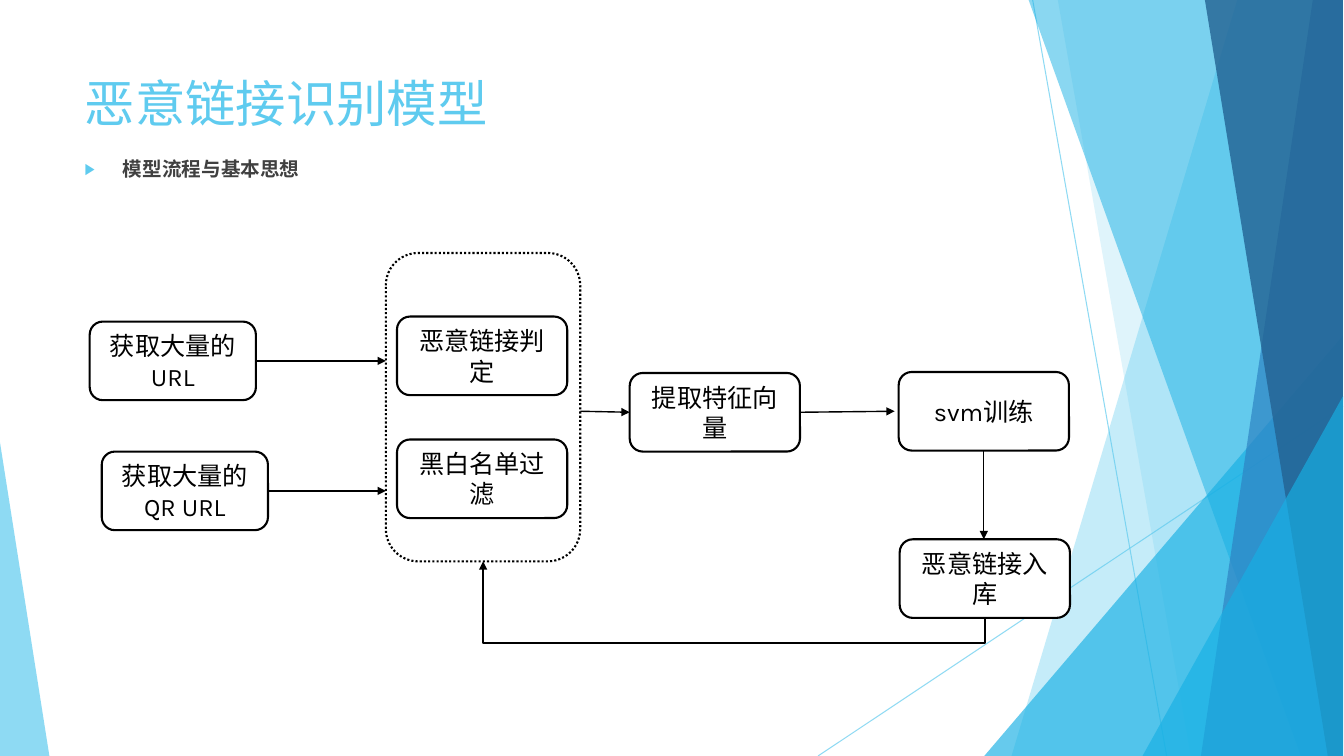
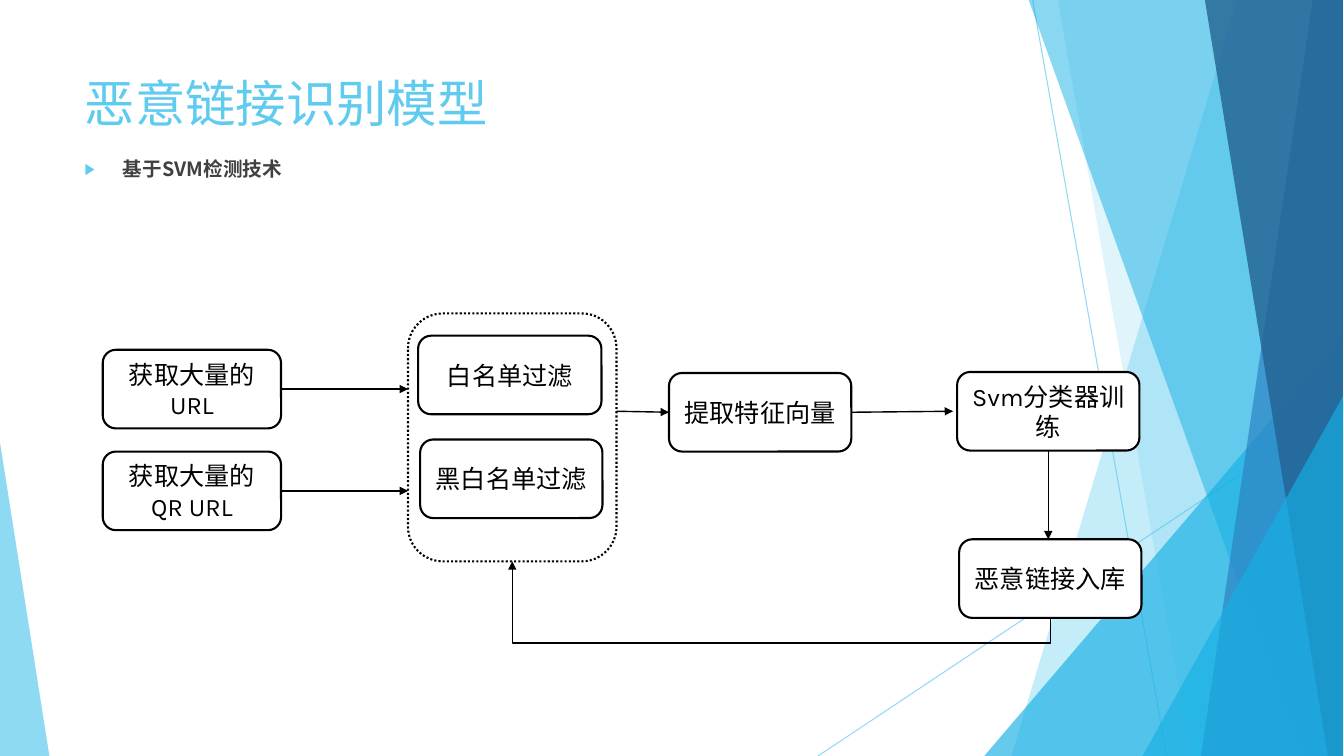
from lxml import etree
from pptx import Presentation
from pptx import util as u
from pptx.dml.color import RGBColor
from pptx.enum import dml, shapes, text
from pptx.oxml.ns import qn

WIDE, HIGH = 13.34, 7.5
EDGE = 13.33
NODE_H = 0.78
MID = 4.08
DROP = 0.25
HEX = {"sky": "5FCBEF", "cyan": "17B0E4", "blue": "2E83C3", "navy": "236292",
       "ink": "000000", "gray": "404040", "white": "FFFFFF"}
CJK, LATIN = "Noto Sans CJK SC", "Karla"

HEAD = "恶意链接识别模型"
FRAMES = [(0.74, 0.67, 9.4, 1.44), (0.74, 1.45, 9.4, 5.64)]
STYLES = {
    "head": {"name": CJK, "size": u.Pt(36), "bold": False, "hue": "sky"},
    "item": {"name": CJK, "size": u.Pt(14), "bold": True, "hue": "gray"},
    "node": {"name": LATIN, "size": u.Pt(18), "bold": False, "hue": "ink"},
}
RAYS = [(10.25, 0, 11.58, HIGH), (EDGE, 4.03, 8.12, HIGH)]
BANDS = [
    ("quad", 12.28, 10.04, "sky", 36),
    ("quad", 10.5, 11.82, "sky", 20),
    ("tri", (9.77, 3.33, 3.56), 1, "cyan", 66),
    ("quad", 10.21, 12.91, "cyan", 50),
    ("quad", 13.03, 11.92, "blue", 70),
    ("quad", 11.96, 13.18, "navy", 80),
    ("tri", (11.34, 3.93, 1.99), 1, "cyan", 66),
    ("tri", (0, 4.39, 0.49), 0, "sky", 70),
]
FLOWS = [
    {"item": "模型流程与基本思想",
     "frame": (3.83, 2.51, 1.93, 3.06),
     "ins": [("获取大量的URL", 0.89, 3.19, 1.65), ("获取大量的QR URL", 1.01, 4.48, 1.65)],
     "tests": [("恶意链接判定", 3.94, 3.14, 1.69), ("黑白名单过滤", 3.94, 4.36, 1.69)],
     "steps": [("提取特征向量", 6.25, 3.7, 1.69), ("svm训练", 8.92, 3.69, 1.69),
               ("恶意链接入库", 8.93, 5.35, 1.69)]},
    {"item": "基于SVM检测技术",
     "frame": (4.05, 3.11, 2.07, 2.46),
     "ins": [("获取大量的URL", 1.02, 3.47, 1.77), ("获取大量的QR URL", 1.02, 4.48, 1.77)],
     "tests": [("白名单过滤", 4.15, 3.33, 1.82), ("黑白名单过滤", 4.17, 4.36, 1.81)],
     "steps": [("提取特征向量", 6.64, 3.7, 1.81), ("Svm分类器训练", 9.5, 3.69, 1.81),
               ("恶意链接入库", 9.52, 5.35, 1.81)]},
]


def rgb(hue):
    return RGBColor.from_string(HEX[hue])


def inch(vals):
    return [u.Inches(v) for v in vals]


def sub(root, tag, **vals):
    return etree.SubElement(root, qn(tag), vals)


def fade(shape, share):
    hue = next(shape.element.iter(qn("a:srgbClr")))
    sub(hue, "a:alpha", val=str(share * 1000))


def write(frame, words, style):
    para = frame.paragraphs[0]
    run = para.add_run()
    run.text = words
    for key, val in STYLES[style].items():
        if key == "hue":
            run.font.color.rgb = rgb(val)
        else:
            setattr(run.font, key, val)
    ea = etree.Element(qn("a:ea"), typeface=CJK)
    run.font.element.find(qn("a:latin")).addnext(ea) if hasattr(run.font, "element") else \
        next(run._r.iter(qn("a:latin"))).addnext(ea)
    return para


def join(slide, ends, hue="ink", size=1, head=True, kind="STRAIGHT"):
    line = slide.shapes.add_connector(getattr(shapes.MSO_CONNECTOR, kind), *inch(ends))
    line.line.color.rgb = rgb(hue)
    line.line.width = u.Pt(size)
    prop = line.element.spPr
    if head:
        sub(prop.find(qn("a:ln")), "a:tailEnd", type="triangle")
    sub(prop, "a:effectLst")
    return line


def bend(slide, start, end):
    (x1, y1), (x2, y2) = start, end
    cx, cy = (x1 + x2) / 2, (y1 + y2) / 2
    dx, dy = (y1 - y2) / 2, (x1 - x2) / 2
    line = join(slide, (cx - dx, cy + dy, cx + dx, cy - dy), kind="ELBOW")
    prop = line.element.spPr
    prop.find(qn("a:xfrm")).set("rot", str(270 * 60000))
    ratio = round(-DROP / (y1 - y2) * 100000)
    geom = prop.find(qn("a:prstGeom"))
    for old in geom.findall(qn("a:avLst")):
        geom.remove(old)
    sub(sub(geom, "a:avLst"), "a:gd", name="adj1", fmla=f"val {ratio}")


def band(slide, kind, place, foot, hue, share):
    if kind == "quad":
        pen = slide.shapes.build_freeform(*inch((place, 0)))
        pen.add_line_segments([inch(p) for p in ((EDGE, 0), (EDGE, HIGH), (foot, HIGH))])
        shape = pen.convert_to_shape()
    else:
        left, top, wide = place
        shape = slide.shapes.add_shape(shapes.MSO_SHAPE.ISOSCELES_TRIANGLE,
                                       *inch((left, top, wide, HIGH - top)))
        shape.adjustments[0] = foot
    shape.shadow.inherit = False
    shape.fill.solid()
    shape.fill.fore_color.rgb = rgb(hue)
    shape.line.fill.background()
    fade(shape, share)
    return shape


def dress(deck, layout):
    slide = deck.slides[0]
    parts = []
    for ray in RAYS:
        line = join(slide, ray, "sky", 0.75, False)
        fade(line, 70)
        parts.append(line)
    parts += [band(slide, *spec_) for spec_ in BANDS]
    tree = layout.shapes.element if hasattr(layout.shapes, "element") else layout.shapes._spTree
    for i, part in enumerate(parts):
        next(part.element.iter(qn("p:cNvPr"))).set("id", str(100 + i))
        tree.insert(2 + i, part.element)


def rounded(slide, place):
    shape = slide.shapes.add_shape(shapes.MSO_SHAPE.ROUNDED_RECTANGLE, *inch(place))
    shape.shadow.inherit = False
    shape.line.color.rgb = rgb("ink")
    shape.line.width = u.Pt(1.5)
    return shape


def node(slide, words, left, top, wide):
    shape = rounded(slide, (left, top, wide, NODE_H))
    shape.fill.solid()
    shape.fill.fore_color.rgb = rgb("white")
    frame = shape.text_frame
    frame.word_wrap = True
    frame.vertical_anchor = text.MSO_ANCHOR.MIDDLE
    write(frame, words, "node").alignment = text.PP_ALIGN.CENTER


def titles(slide, item):
    head, body = slide.placeholders
    for frame in (head.text_frame, body.text_frame):
        frame.vertical_anchor = text.MSO_ANCHOR.TOP
        frame.auto_size = text.MSO_AUTO_SIZE.NONE
    write(head.text_frame, HEAD, "head").alignment = text.PP_ALIGN.LEFT
    para = write(body.text_frame, item, "item")
    para.line_spacing = 1.25
    para.space_before = u.Pt(0)
    prop = para._p.get_or_add_pPr()
    prop.set("marL", str(u.Inches(0.38)))
    prop.set("indent", str(u.Inches(-0.38)))
    sub(sub(prop, "a:buClr"), "a:srgbClr", val=HEX["sky"])
    sub(prop, "a:buSzPct", val="80000")
    sub(prop, "a:buChar", char="▶")


def chart(slide, flow):
    left, top, wide, high = flow["frame"]
    for part in flow["ins"] + flow["tests"] + flow["steps"]:
        node(slide, *part)
    frame = rounded(slide, flow["frame"])
    frame.fill.background()
    frame.line.dash_style = dml.MSO_LINE.ROUND_DOT
    half = NODE_H / 2
    for _, x, y, w in flow["ins"]:
        join(slide, (x + w, y + half, left, y + half))
    (_, fx, fy, fw), (_, tx, ty, tw), (_, sx, sy, sw) = flow["steps"]
    join(slide, (left + wide, MID, fx, fy + half))
    join(slide, (fx + fw, fy + half, tx - 0.04, MID))
    join(slide, (tx + tw / 2, ty + NODE_H, tx + tw / 2, sy))
    bend(slide, (sx + sw / 2, sy + NODE_H), (left + wide / 2, top + high))


def main():
    deck = Presentation()
    deck.slide_width, deck.slide_height = inch((WIDE, HIGH))
    layout = deck.slide_layouts[1]
    for holder, place in zip(layout.placeholders, FRAMES):
        for key, val in zip(("left", "top", "width", "height"), inch(place)):
            setattr(holder, key, val)
    for flow in FLOWS:
        slide = deck.slides.add_slide(layout)
        titles(slide, flow["item"])
        chart(slide, flow)
    dress(deck, layout)
    deck.save("out.pptx")


if __name__ == "__main__":
    main()
